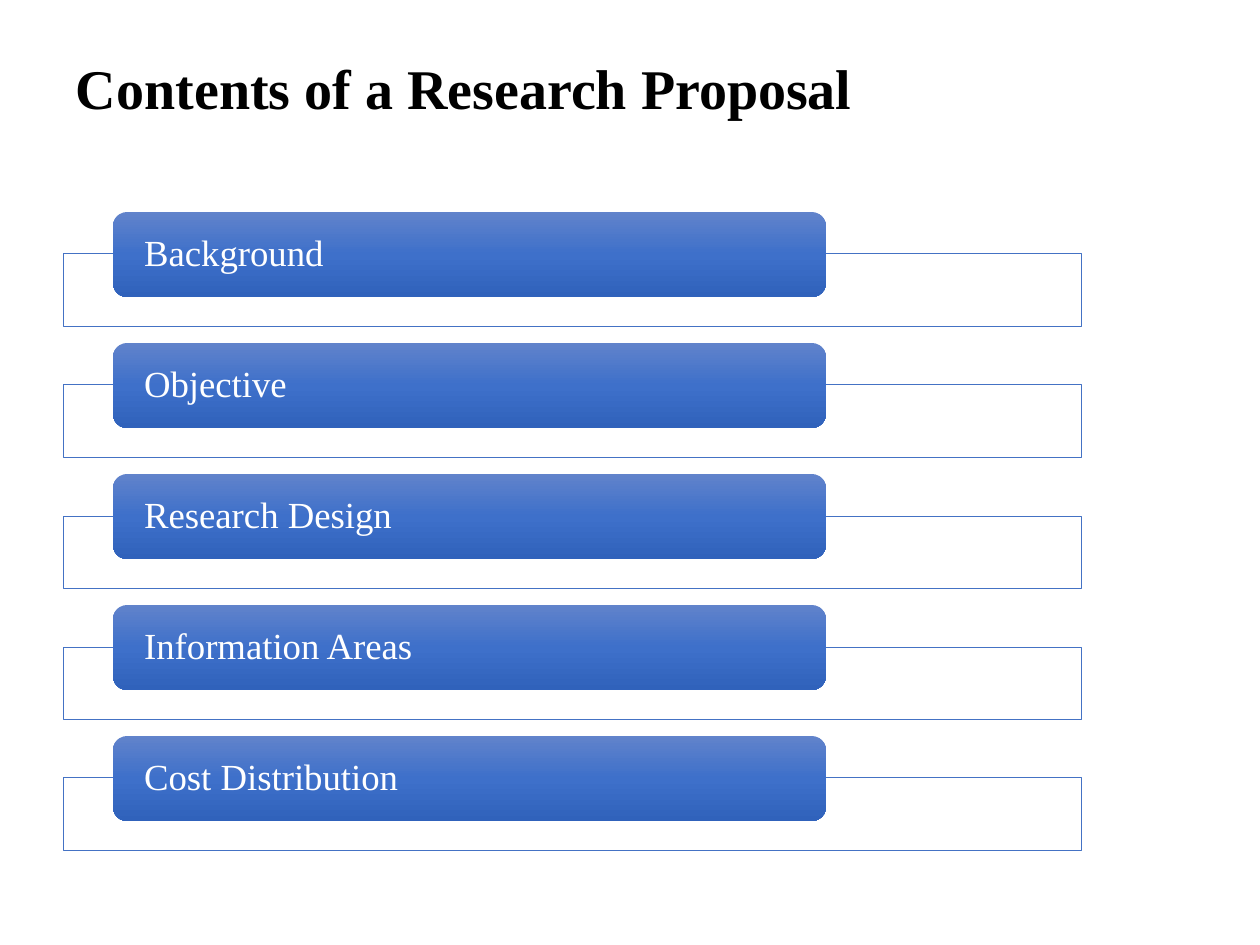
from copy import deepcopy

from pptx import Presentation
from pptx.dml.color import RGBColor
from pptx.enum.shapes import MSO_SHAPE
from pptx.enum.text import MSO_ANCHOR, PP_ALIGN
from pptx.oxml.ns import qn
from pptx.util import Emu, Pt

RECTANGLE = MSO_SHAPE.RECTANGLE
ROUNDED = MSO_SHAPE.ROUNDED_RECTANGLE
BOTTOM, MIDDLE = MSO_ANCHOR.BOTTOM, MSO_ANCHOR.MIDDLE
LEFT = PP_ALIGN.LEFT

THEME = {
    "font": "Times New Roman",
    "title_size": 32,
    "item_size": 21,
    "title": "000000",
    "item": "FFFFFF",
    "panel": "FFFFFF",
    "outline": "4472C4",
    "bar": ((0, "6183CB"), (0.5, "3E70CA"), (1, "3062BB")),
}
EMU_PER_PX = 914400 / 126

ITEMS = ["Background", "Objective", "Research Design", "Information Areas", "Cost Distribution"]
FIRST_TOP, PITCH = 212, 131
PANEL_DROP = 42


def px(*lengths):
    return [Emu(round(length * EMU_PER_PX)) for length in lengths]


def write(box, text, *, size, color, bold=False, anchor=MIDDLE, insets=(13, 6), spacing=1.0):
    frame = box.text_frame
    frame.word_wrap = True
    frame.vertical_anchor = anchor
    side, edge = px(*insets)
    frame.margin_left = frame.margin_right = side
    frame.margin_top = frame.margin_bottom = edge
    para = frame.paragraphs[0]
    para.alignment = LEFT
    para.line_spacing = spacing
    span = para.add_run()
    span.text = text
    span.font.name = THEME["font"]
    span.font.size = Pt(size)
    span.font.bold = bold
    span.font.color.rgb = RGBColor.from_string(color)


deck = Presentation()
deck.slide_width, deck.slide_height = px(1260, 945)
page = deck.slides.add_slide(deck.slide_layouts[6])

title = page.shapes.add_textbox(*px(63, 30, 1060, 98))
write(title, "Contents of a Research Proposal", size=THEME["title_size"],
      color=THEME["title"], bold=True, anchor=BOTTOM, spacing=0.9)

for row, item in enumerate(ITEMS):
    top = FIRST_TOP + row * PITCH

    panel = page.shapes.add_shape(RECTANGLE, *px(63, top + PANEL_DROP, 1019, 73))
    panel.shadow.inherit = False
    panel.fill.solid()
    panel.fill.fore_color.rgb = RGBColor.from_string(THEME["panel"])
    panel_color = panel.fill._xPr.find(qn("a:solidFill"))[0]
    panel_color.makeelement(qn("a:alpha"))
    alpha = deepcopy(panel_color.makeelement(qn("a:alpha"), {"val": "90000"}))
    panel_color.append(alpha)
    panel.line.color.rgb = RGBColor.from_string(THEME["outline"])
    panel.line.width = Pt(0.5)

    bar = page.shapes.add_shape(ROUNDED, *px(113, top, 713, 85))
    bar.shadow.inherit = False
    bar.line.fill.background()
    bar.fill.gradient()
    bar.fill.gradient_angle = 270
    stop_list = bar.fill._xPr.find(qn("a:gradFill")).find(qn("a:gsLst"))
    stop_list.append(deepcopy(stop_list[0]))
    for stop, (position, color) in zip(bar.fill.gradient_stops, THEME["bar"]):
        stop.position = position
        stop.color.rgb = RGBColor.from_string(color)
    write(bar, item, size=THEME["item_size"], color=THEME["item"],
          insets=(27, 0), spacing=0.9)

deck.save("out.pptx")
